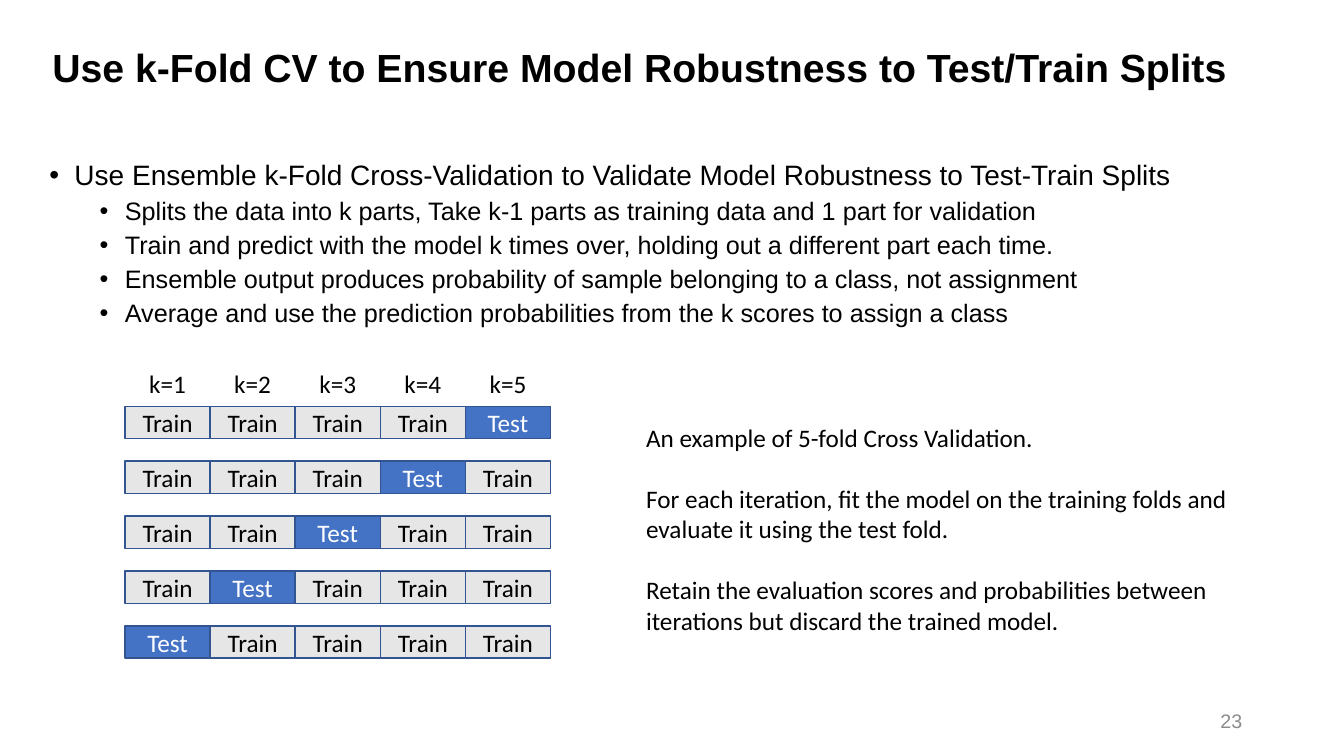
from pptx import Presentation
from pptx.dml.color import RGBColor
from pptx.enum.shapes import MSO_SHAPE
from pptx.enum.text import MSO_ANCHOR, MSO_AUTO_SIZE, PP_ALIGN
from pptx.oxml.ns import qn
from pptx.util import Inches, Pt
from lxml.etree import SubElement

TITLE = "Use k-Fold CV to Ensure Model Robustness to Test/Train Splits"
BULLETS = [
    (0, "Use Ensemble k-Fold Cross-Validation to Validate Model Robustness to Test-Train Splits"),
    (1, "Splits the data into k parts, Take k-1 parts as training data and 1 part for validation"),
    (1, "Train and predict with the model k times over, holding out a different part each time."),
    (1, "Ensemble output produces probability of sample belonging to a class, not assignment"),
    (1, "Average and use the prediction probabilities from the k scores to assign a class"),
]
NOTES = [
    "An example of 5-fold Cross Validation.",
    "For each iteration, fit the model on the training folds and evaluate it using the test fold.",
    "Retain the evaluation scores and probabilities between iterations but discard the trained model.",
]
FOLDS = 5
TITLE_FONT = {"name": "Arial", "size": Pt(28), "bold": True}
LEVEL_FONTS = [{"name": "Arial", "size": Pt(20)}, {"name": "Arial", "size": Pt(18)}]
BODY_FONT = {"name": "Calibri", "size": Pt(18)}
NUMBER_FONT = {"name": "Arial", "size": Pt(14)}


def color(hex_string):
    return RGBColor.from_string(hex_string)


def format_font(paragraph, values, hex_string="000000"):
    for name, value in values.items():
        setattr(paragraph.font, name, value)
    paragraph.font.color.rgb = color(hex_string)


def add_text_frame(slide, left, top, width, height):
    box = slide.shapes.add_textbox(Inches(left), Inches(top), Inches(width), Inches(height))
    box.text_frame.word_wrap = True
    return box.text_frame


def add_paragraphs(frame, texts):
    frame.text = "\n".join(texts)
    return frame.paragraphs


def add_bullet(paragraph, level):
    properties = paragraph._p.get_or_add_pPr()
    properties.set("marL", str(Inches(0.25 + 0.5 * level)))
    properties.set("indent", str(Inches(-0.25)))
    SubElement(properties, qn("a:buFont"), typeface="Arial")
    SubElement(properties, qn("a:buChar"), char="•")


def add_title(slide, left, top, width, height):
    title = slide.shapes.title
    title.left, title.top = Inches(left), Inches(top)
    title.width, title.height = Inches(width), Inches(height)
    frame = title.text_frame
    frame.text = TITLE
    frame.word_wrap = True
    frame.auto_size = MSO_AUTO_SIZE.NONE
    frame.vertical_anchor = MSO_ANCHOR.MIDDLE
    paragraph = frame.paragraphs[0]
    paragraph.alignment = PP_ALIGN.LEFT
    paragraph.line_spacing = 0.9
    format_font(paragraph, TITLE_FONT)


def add_bullets(slide, left, top, width, height):
    frame = add_text_frame(slide, left, top, width, height)
    paragraphs = add_paragraphs(frame, [text for _, text in BULLETS])
    for paragraph, (level, _) in zip(paragraphs, BULLETS):
        paragraph.level = level
        add_bullet(paragraph, level)
        paragraph.line_spacing = 0.9
        paragraph.space_before = Pt(5 * level)
        format_font(paragraph, LEVEL_FONTS[level])


def add_cell(group, left, top, width, height, text, fill, text_color="000000", line=None):
    cell = group.shapes.add_shape(
        MSO_SHAPE.RECTANGLE, Inches(left), Inches(top), Inches(width), Inches(height))
    cell.shadow.inherit = False
    cell.fill.solid()
    cell.fill.fore_color.rgb = color(fill)
    if line:
        cell.line.color.rgb = color(line)
        cell.line.width = Pt(1)
    else:
        cell.line.fill.background()
    frame = cell.text_frame
    frame.text = text
    frame.vertical_anchor = MSO_ANCHOR.MIDDLE
    paragraph = frame.paragraphs[0]
    paragraph.alignment = PP_ALIGN.CENTER
    format_font(paragraph, BODY_FONT, text_color)


def add_fold_diagram(slide, left, top, width, height):
    cell_width, cell_height = width / FOLDS, 0.32
    rows_top = top + 0.39
    row_step = (height - 0.39 - cell_height) / (FOLDS - 1)

    # Column headings
    headings = slide.shapes.add_group_shape()
    for column in range(FOLDS):
        add_cell(headings, left + column * cell_width, top, cell_width, cell_height,
                 f"k={column + 1}", "FFFFFF")

    # One row per iteration; the test fold moves one column left each time
    for row in range(FOLDS):
        group = slide.shapes.add_group_shape()
        test_column = FOLDS - 1 - row
        # The test cell goes last so that its outline lies on top
        for column in sorted(range(FOLDS), key=lambda index: index == test_column):
            style = ("Test", "4472C4", "FFFFFF") if column == test_column else ("Train", "E7E6E6", "000000")
            add_cell(group, left + column * cell_width, rows_top + row * row_step,
                     cell_width, cell_height, *style, line="325491")


def add_explanation(slide, left, top, width, height):
    frame = add_text_frame(slide, left, top, width, height)
    for index, paragraph in enumerate(add_paragraphs(frame, NOTES)):
        paragraph.space_before = Pt(22 if index else 0)
        format_font(paragraph, BODY_FONT)


def add_slide_number(slide, left, top, width, height):
    frame = add_text_frame(slide, left, top, width, height)
    frame.vertical_anchor = MSO_ANCHOR.MIDDLE
    paragraph = add_paragraphs(frame, ["23"])[0]
    paragraph.alignment = PP_ALIGN.RIGHT
    format_font(paragraph, NUMBER_FONT, "8C8C8C")


def main():
    presentation = Presentation()
    presentation.slide_width, presentation.slide_height = Inches(13.33), Inches(7.5)
    slide = presentation.slides.add_slide(presentation.slide_layouts.get_by_name("Title Only"))
    add_title(slide, 0.42, 0.4, 12.5, 0.59)
    add_bullets(slide, 0.39, 1.55, 12.58, 1.88)
    add_fold_diagram(slide, 1.24, 3.64, 4.22, 2.89)
    add_explanation(slide, 6.31, 4.14, 6.67, 2.22)
    add_slide_number(slide, 9.42, 6.95, 3, 0.4)
    presentation.save("out.pptx")


if __name__ == "__main__":
    main()
